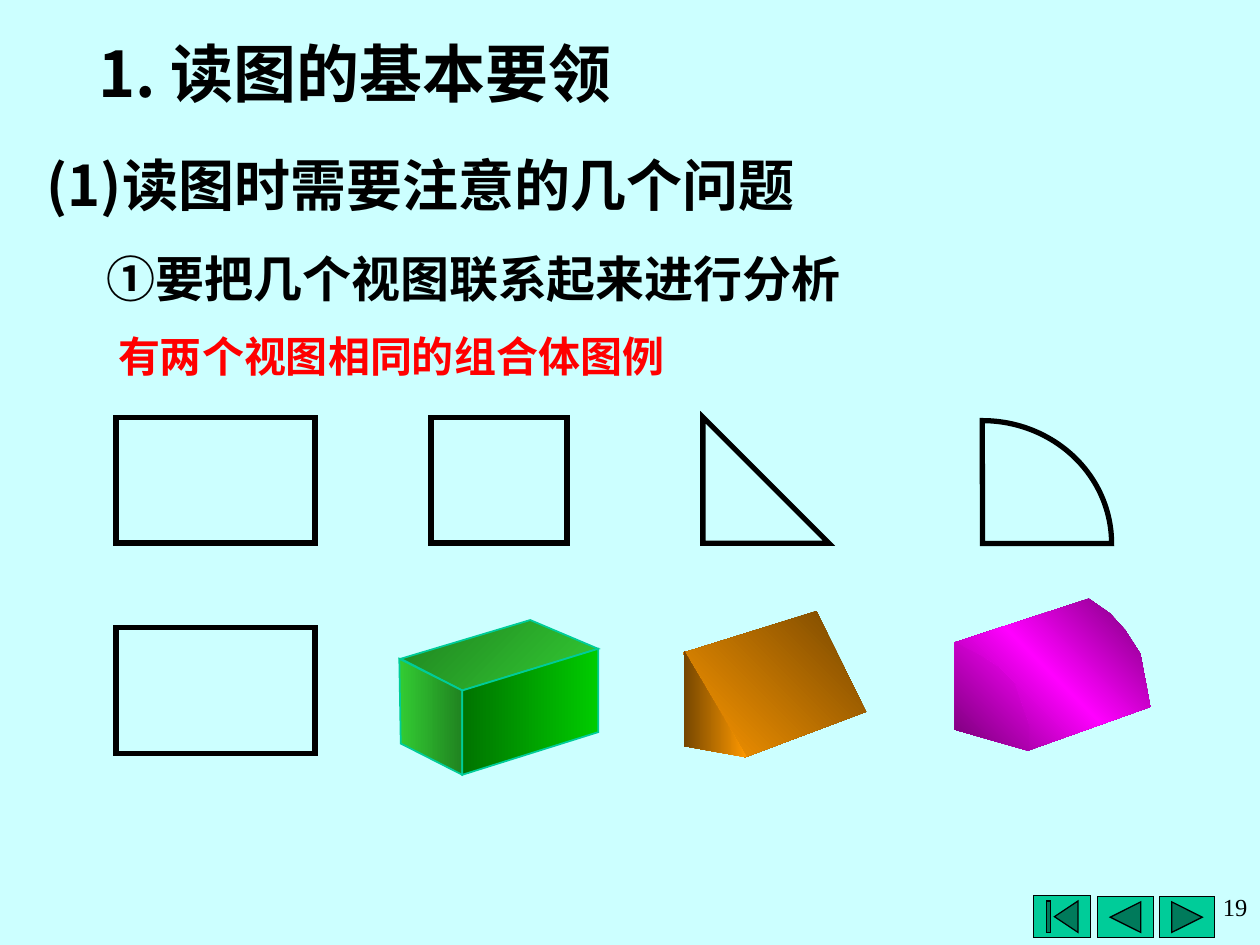
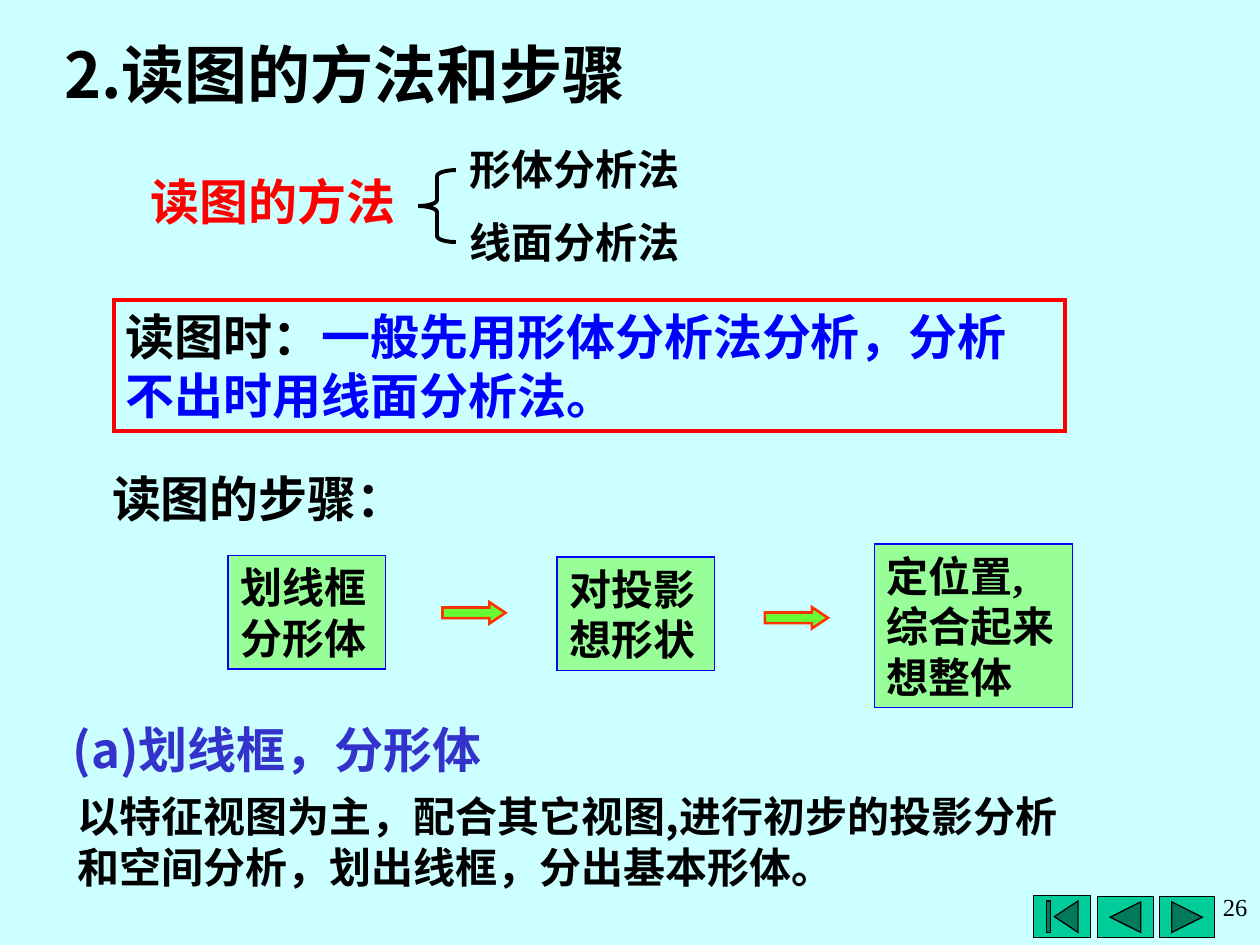
from lxml.etree import SubElement
from pptx import Presentation
from pptx.dml.color import RGBColor
from pptx.enum.shapes import MSO_SHAPE as Preset
from pptx.enum.text import MSO_ANCHOR as Anchor, MSO_AUTO_SIZE as AutoSize, PP_ALIGN as Align
from pptx.oxml.ns import qn
from pptx.util import Cm, Pt

BACKGROUND = RGBColor(0xCC, 0xFF, 0xFF)
BLACK = RGBColor(0x00, 0x00, 0x00)
RED = RGBColor(0xFF, 0x00, 0x00)
BLUE = RGBColor(0x00, 0x00, 0xFF)
INDIGO = RGBColor(0x33, 0x33, 0xCC)
TEAL = RGBColor(0x00, 0xCC, 0x99)
LIME = RGBColor(0x66, 0xFF, 0x33)
ARROW_RED = RGBColor(0xFF, 0x33, 0x00)
LEAF = RGBColor(0x33, 0xCC, 0x33)
DARK_LEAF = RGBColor(0x20, 0x83, 0x20)
GREEN = RGBColor(0x00, 0xCC, 0x00)
DARK_GREEN = RGBColor(0x00, 0x73, 0x00)
ORANGE = RGBColor(0xFF, 0x99, 0x00)
BROWN = RGBColor(0x75, 0x46, 0x00)
MAGENTA = RGBColor(0xFF, 0x00, 0xFF)
PURPLE = RGBColor(0x75, 0x00, 0x75)

SANS = "Noto Sans CJK SC"
SERIF = "Times New Roman"


def write(shape, *runs, size=24, colour=BLACK, font=SANS, bold=True,
          align=Align.LEFT, anchor=Anchor.TOP, wrap=False):
    """Fill a shape with one paragraph; a run is a text or (text, colour, font)."""
    frame = shape.text_frame
    frame.word_wrap = wrap
    frame.auto_size = AutoSize.NONE
    frame.vertical_anchor = anchor
    paragraph = frame.paragraphs[0]
    paragraph.alignment = align
    for item in runs:
        text, run_colour, run_font = (item, colour, font) if isinstance(item, str) else item
        run = paragraph.add_run()
        run.text = text
        run.font.size = Pt(size)
        run.font.bold = bold
        run.font.color.rgb = run_colour
        run.font.name = run_font
        SubElement(run.font._element, qn("a:ea"), typeface=SANS)


def style(shape, fill=None, alpha=None, gradient=None, angle=0, line=None, width=0.75):
    """Give a shape its fill (plain, translucent or gradient) and mitred outline."""
    shape.shadow.inherit = False
    properties = shape._element.spPr
    if gradient:
        shape.fill.gradient()
        element = properties.find(qn("a:gradFill"))
        element.clear()
        stops = SubElement(element, qn("a:gsLst"))
        for index, colour in enumerate(gradient):
            position = 100000 * index // (len(gradient) - 1)
            stop = SubElement(stops, qn("a:gs"), pos=str(position))
            SubElement(stop, qn("a:srgbClr"), val=str(colour))
        SubElement(element, qn("a:lin"), ang=str(angle * 60000), scaled="0")
    elif fill is not None:
        shape.fill.solid()
        shape.fill.fore_color.rgb = fill
        if alpha:
            colour_element = properties.find(qn("a:solidFill"))[0]
            SubElement(colour_element, qn("a:alpha"), val=str(alpha * 1000))
    else:
        shape.fill.background()
    if line is None:
        shape.line.fill.background()
    else:
        shape.line.color.rgb = line
        shape.line.width = Pt(width)
        SubElement(properties.find(qn("a:ln")), qn("a:miter"), lim="800000")


presentation = Presentation()
presentation.slide_width, presentation.slide_height = Cm(25.4), Cm(19.05)

# Shared background
background = presentation.slide_master.background.fill
background.solid()
background.fore_color.rgb = BACKGROUND
layout = presentation.slide_layouts[5]

# Slides with title and page number
slides = []
for title, left, top, width, height, number in [
    ("1. 读图的基本要领", 1.73, 0.43, 21.59, 2.06, "19"),
    ("2.读图的方法和步骤", 1.04, 0.58, 21.21, 1.78, "26"),
]:
    slide = presentation.slides.add_slide(layout)
    heading = slide.shapes.title
    heading.left, heading.top, heading.width, heading.height = map(Cm, (left, top, width, height))
    write(heading, title, size=36, anchor=Anchor.MIDDLE, wrap=True)
    page = slide.shapes.add_textbox(Cm(19), Cm(17.86), Cm(6.4), Cm(1.55))
    write(page, number, size=14, font=SERIF, bold=False, align=Align.RIGHT, wrap=True)
    slides.append(slide)
views, methods = slides

# Navigation buttons, moved to the shared layout
for preset, left, top, width, height in [
    (Preset.ACTION_BUTTON_FORWARD_OR_NEXT, 23.37, 18.08, 1.12, 0.82),
    (Preset.ACTION_BUTTON_BACK_OR_PREVIOUS, 22.13, 18.08, 1.12, 0.82),
    (Preset.ACTION_BUTTON_BEGINNING, 20.84, 18.06, 1.15, 0.84),
]:
    button = views.shapes.add_shape(preset, Cm(left), Cm(top), Cm(width), Cm(height))
    style(button, fill=TEAL, line=BLACK)
    layout.shapes.element.append(button.element)

# Slide 1: headings
for runs, left, top, width, height, size, colour, font in [
    (["(1)读图时需要注意的几个问题"], 0.69, 2.9, 16.38, 1.63, 32, BLACK, SANS),
    ([("①", BLACK, SERIF), "要把几个视图联系起来进行分析"],
     1.9, 4.88, 17.15, 1.45, 28, BLACK, SANS),
    (["有两个视图相同的组合体图例"], 2.13, 6.53, 13.69, 1.27, 24, RED, SERIF),
]:
    box = views.shapes.add_textbox(Cm(left), Cm(top), Cm(width), Cm(height))
    write(box, *runs, size=size, colour=colour, font=font)

# Slide 1: flat views
for preset, left, top, width, height in [
    (Preset.RECTANGLE, 2.34, 8.41, 4.01, 2.54),
    (Preset.RECTANGLE, 2.34, 12.65, 4.01, 2.54),
    (Preset.RECTANGLE, 8.69, 8.41, 2.74, 2.54),
    (Preset.RIGHT_TRIANGLE, 14.17, 8.41, 2.54, 2.54),
    (Preset.PIE, 17.2, 8.48, 5.21, 4.95),
]:
    view = views.shapes.add_shape(preset, Cm(left), Cm(top), Cm(width), Cm(height))
    style(view, line=BLACK, width=3)
# The last view is a quarter disc, from 270 to 0 degrees
view.adjustments[0] = 162
view.adjustments[1] = 0

# Slide 1: faces of the solids
for gradient, angle, line, points in [
    # box
    ([LEAF, DARK_LEAF], 225, TEAL,
     [(8.08, 13.28), (10.69, 12.5), (12.06, 13.08), (9.32, 13.92)]),
    ([DARK_LEAF, LEAF], 180, TEAL,
     [(8.05, 13.28), (8.08, 14.99), (9.32, 15.62), (9.32, 13.92)]),
    ([GREEN, DARK_GREEN], 180, TEAL,
     [(9.32, 13.92), (9.32, 15.62), (12.06, 14.76), (12.06, 13.08)]),
    # wedge
    ([BROWN, ORANGE], 135, None,
     [(13.77, 13.16), (16.46, 12.32), (17.46, 14.35), (15.01, 15.27)]),
    ([ORANGE, BROWN], 180, None,
     [(13.79, 13.13), (13.79, 15.04), (15.06, 15.27)]),
    # quarter cylinder
    ([PURPLE, MAGENTA, PURPLE], 135, None,
     [(19.25, 12.95), (19.71, 13.18), (20.02, 13.44), (20.27, 13.74), (20.5, 14.17),
      (20.7, 14.71), (20.7, 15.14), (23.19, 14.25), (23.11, 13.82), (22.99, 13.18),
      (22.68, 12.7), (22.38, 12.37), (21.95, 12.07)]),
    ([MAGENTA, PURPLE], 135, None,
     [(19.25, 12.95), (19.76, 13.21), (20.14, 13.46), (20.45, 13.77), (20.62, 14.27),
      (20.75, 14.63), (20.75, 15.14), (19.25, 14.71)]),
]:
    corners = [(Cm(x), Cm(y)) for x, y in points]
    builder = views.shapes.build_freeform(*corners[0])
    builder.add_line_segments(corners[1:], close=True)
    face = builder.convert_to_shape()
    style(face, gradient=gradient, angle=angle, line=line, width=1)

# Slide 2: labels and explanation
for text, left, top, width, height, size, colour, anchor, wrap in [
    ("读图的方法", 2.79, 3.33, 5.44, 1.45, 28, RED, Anchor.MIDDLE, False),
    ("形体分析法", 9.22, 2.77, 4.72, 1.27, 24, BLACK, Anchor.MIDDLE, False),
    ("线面分析法", 9.22, 4.24, 4.72, 1.27, 24, BLACK, Anchor.MIDDLE, False),
    ("读图的步骤：", 2.01, 9.32, 6.43, 1.45, 28, BLACK, Anchor.MIDDLE, False),
    ("(a)划线框，分形体", 1.22, 14.38, 9.42, 1.45, 28, INDIGO, Anchor.TOP, False),
    ("以特征视图为主，配合其它视图,进行初步的投影分析和空间分析，划出线框，分出基本形体。",
     1.32, 15.82, 20.29, 2.29, 24, BLACK, Anchor.TOP, True),
]:
    box = methods.shapes.add_textbox(Cm(left), Cm(top), Cm(width), Cm(height))
    write(box, text, size=size, colour=colour, anchor=anchor, wrap=wrap)

brace = methods.shapes.add_shape(Preset.LEFT_BRACE, Cm(8.43), Cm(3.43), Cm(0.76), Cm(1.45))
brace.adjustments[0] = 0.16
style(brace, line=BLACK, width=2.25)

# Slide 2: framed advice
advice = methods.shapes.add_shape(Preset.RECTANGLE, Cm(2.29), Cm(6.05), Cm(19.18), Cm(2.64))
style(advice, line=RED, width=2.25)
write(advice, "读图时：", ("一般先用形体分析法分析，分析不出时用线面分析法。", BLUE, SANS),
      size=28, anchor=Anchor.MIDDLE, wrap=True)

# Slide 2: steps and the arrows between them
for text, left, top, width, height in [
    ("划线框分形体", 4.6, 11.2, 3.18, 2.29),
    ("对投影想形状", 11.23, 11.23, 3.18, 2.29),
    ("定位置,综合起来想整体", 17.63, 10.97, 3.99, 3.3),
]:
    step = methods.shapes.add_shape(Preset.RECTANGLE, Cm(left), Cm(top), Cm(width), Cm(height))
    style(step, fill=LIME, alpha=50, line=BLUE)
    write(step, text, font=SERIF, wrap=True)

for left, top in [(8.92, 12.14), (15.42, 12.24)]:
    arrow = methods.shapes.add_shape(Preset.RIGHT_ARROW, Cm(left), Cm(top), Cm(1.27), Cm(0.43))
    arrow.adjustments[1] = 0.75
    style(arrow, fill=LIME, line=ARROW_RED, width=1.5)

presentation.save("out.pptx")
